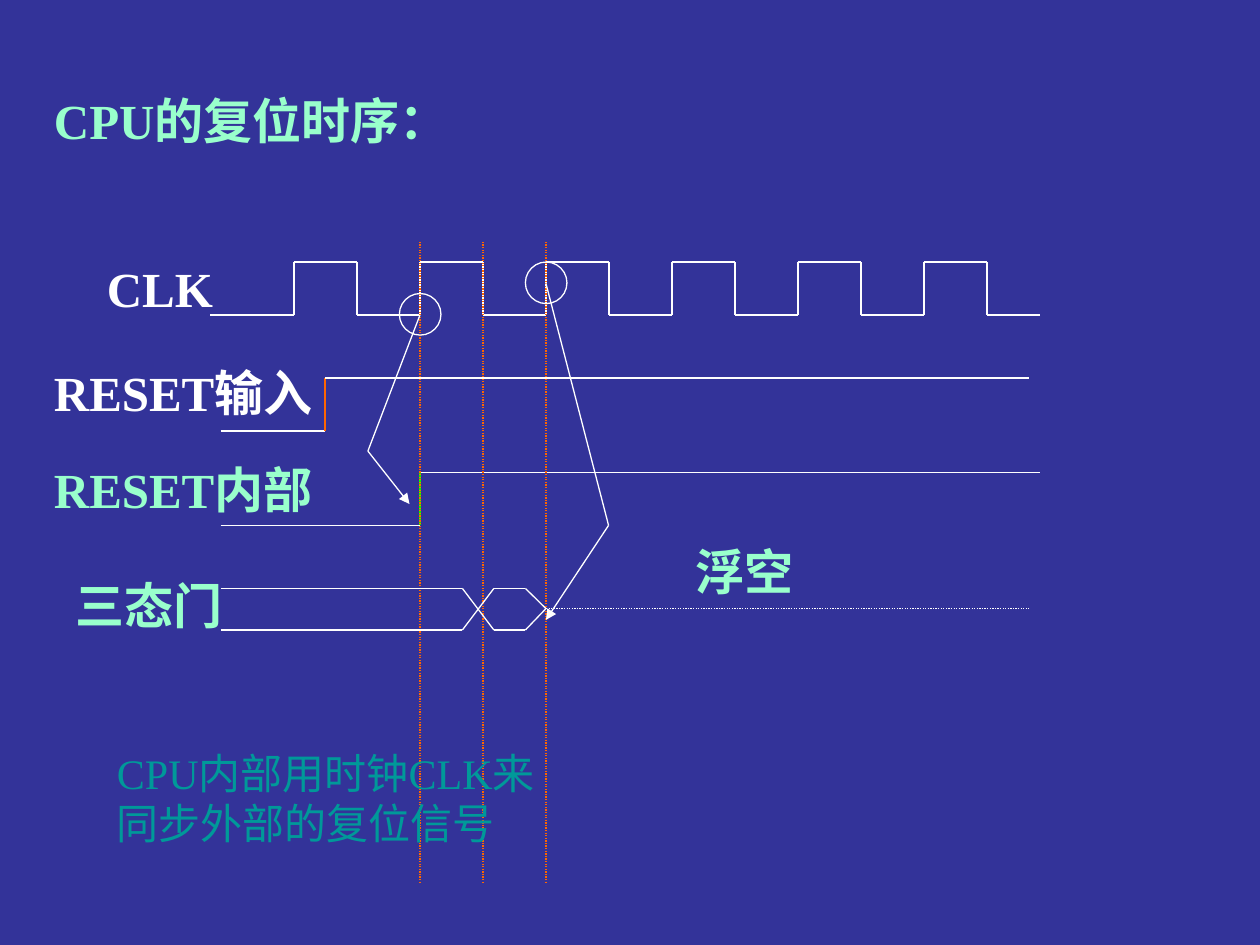
import itertools

import pptx
import pptx.dml.color
import pptx.enum.dml
import pptx.enum.shapes
import pptx.enum.text
import pptx.oxml
import pptx.oxml.ns
import pptx.util
from pptx.util import Inches

COLORS = {
    "background": "333399",
    "white": "FFFFFF",
    "mint": "99FFCC",
    "teal": "009999",
    "orange": "FF6600",
    "green": "00FF00",
}
HEADING = {"size": pptx.util.Pt(28), "name": "Times New Roman", "bold": True}
NOTE = {"size": pptx.util.Pt(24), "name": "Times New Roman", "bold": False}

# text, left, top, width, height, colour, font format
TEXTS = [
    ("CPU的复位时序：", 0.33, 0.67, 9.17, 0.57, "mint", HEADING),
    ("CLK", 0.75, 2, 1.5, 0.57, "white", HEADING),
    ("RESET输入", 0.33, 2.83, 2.67, 0.57, "white", HEADING),
    ("RESET内部", 0.33, 3.6, 2.67, 0.57, "mint", HEADING),
    ("三态门", 0.5, 4.52, 2.67, 0.57, "mint", HEADING),
    ("浮空", 5.42, 4.25, 2.67, 0.57, "mint", HEADING),
    ("CPU内部用时钟CLK来同步外部的复位信号", 0.83, 5.88, 3.62, 0.9, "teal", NOTE),
]

CLK_HIGH, CLK_LOW = 2.08, 2.5
FIRST_EDGE, HALF_PERIOD, EDGE_COUNT = 7 / 3, 0.5, 12
EDGES = [FIRST_EDGE + HALF_PERIOD * i for i in range(EDGE_COUNT)]
RESET_EDGE, FLOAT_EDGE = EDGES[2], EDGES[4]


def rgb(name):
    return pptx.dml.color.RGBColor.from_string(COLORS[name])


def add_text(s, text, left, top, width, height, color, fmt):
    tf = s.shapes.add_textbox(
        Inches(left), Inches(top), Inches(width), Inches(height)).text_frame
    tf.word_wrap = True
    tf.auto_size = pptx.enum.text.MSO_AUTO_SIZE.SHAPE_TO_FIT_TEXT
    r = tf.paragraphs[0].add_run()
    r.text = text
    for key, value in fmt.items():
        setattr(r.font, key, value)
    r.font.color.rgb = rgb(color)


def add_line(s, start, end, color="white", width=0.75, dotted=False, arrow=False):
    cx = s.shapes.add_connector(
        pptx.enum.shapes.MSO_CONNECTOR.STRAIGHT,
        *(Inches(v) for v in (*start, *end)))
    cx.line.color.rgb = rgb(color)
    cx.line.width = pptx.util.Pt(width)
    if dotted:
        cx.line.dash_style = pptx.enum.dml.MSO_LINE.ROUND_DOT
    ns = pptx.oxml.ns.nsdecls("a")
    if arrow:
        cx.line._get_or_add_ln().append(
            pptx.oxml.parse_xml(f'<a:tailEnd {ns} type="triangle"/>'))
    cx._element.spPr.append(pptx.oxml.parse_xml(f"<a:effectLst {ns}/>"))


def add_path(s, points, arrow=False):
    """Join the points by straight lines, with an optional final arrowhead."""
    pairs = list(itertools.pairwise(points))
    for i, (start, end) in enumerate(pairs, 1):
        add_line(s, start, end, arrow=arrow and i == len(pairs))


def add_clock(s):
    points, level, other = [(1.67, CLK_LOW)], CLK_LOW, CLK_HIGH
    for x in EDGES:
        points += [(x, level), (x, other)]
        level, other = other, level
    add_path(s, points + [(8.25, level)])


def add_step(s, edge, low, high, end, edge_color):
    """Draw a signal that rises once, at edge."""
    add_line(s, (1.75, low), (edge, low))
    add_line(s, (edge, low), (edge, high), edge_color)
    add_line(s, (edge, high), (end, high))


def add_tristate(s):
    high, middle, low = 4.67, 4.83, 5
    for first, second, width in ((high, low, 0.75), (low, high, 1)):
        add_line(s, (1.75, first), (3.67, first), width=width)
        add_path(s, [(3.67, first), (3.92, second), (4.17, second),
                     (FLOAT_EDGE, middle)])
    add_line(s, (FLOAT_EDGE, middle), (8.17, middle), dotted=True)


def add_ring(s, left, top):
    sp = s.shapes.add_shape(
        pptx.enum.shapes.MSO_SHAPE.OVAL,
        Inches(left), Inches(top), Inches(0.33), Inches(0.33))
    sp.shadow.inherit = False
    sp.fill.background()
    sp.line.color.rgb = rgb("white")
    sp.line.width = pptx.util.Pt(0.75)


def main():
    prs = pptx.Presentation()
    prs.slide_width, prs.slide_height = Inches(10), Inches(7.5)
    s = prs.slides.add_slide(prs.slide_layouts[6])
    s.background.fill.solid()
    s.background.fill.fore_color.rgb = rgb("background")

    add_clock(s)
    add_step(s, 2.58, 3.42, 3, 8.17, "orange")
    add_step(s, RESET_EDGE, 4.17, 3.75, 8.25, "green")
    for x in EDGES[2:5]:
        add_line(s, (x, 1.92), (x, 7), "orange", dotted=True)
    add_tristate(s)

    add_path(s, [(RESET_EDGE, CLK_LOW), (2.92, 3.58), (3.25, 4)], arrow=True)
    add_ring(s, 3.17, 2.33)
    add_path(s, [(FLOAT_EDGE, 2.25), (4.83, 4.17), (FLOAT_EDGE, 4.92)], arrow=True)
    add_ring(s, 4.17, 2.08)

    for item in TEXTS:
        add_text(s, *item)
    prs.save("out.pptx")


if __name__ == "__main__":
    main()
